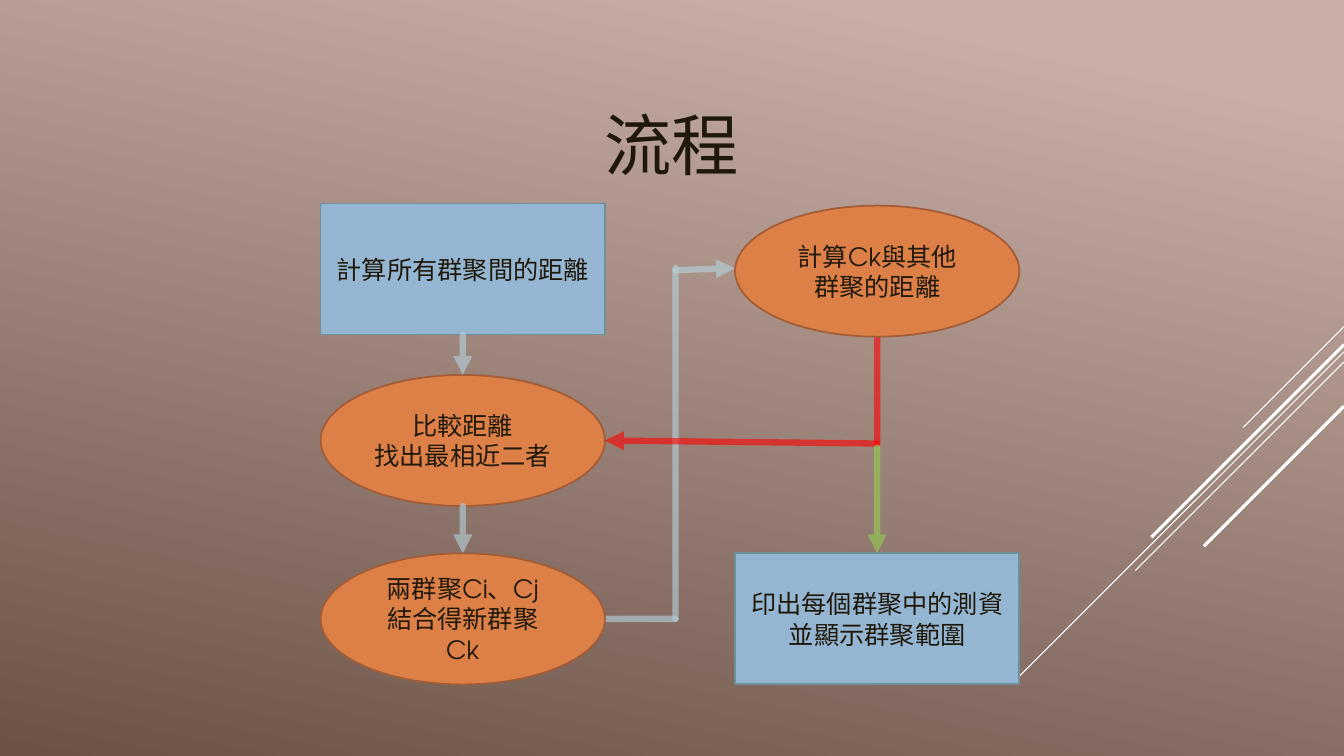
from lxml import etree
from pptx import Presentation
from pptx.dml.color import RGBColor
from pptx.enum.shapes import MSO_CONNECTOR, MSO_SHAPE
from pptx.enum.text import MSO_ANCHOR, PP_ALIGN
from pptx.oxml.ns import qn
from pptx.util import Inches, Pt

RECT, OVAL = MSO_SHAPE.RECTANGLE, MSO_SHAPE.OVAL
LINE = MSO_CONNECTOR.STRAIGHT
MIDDLE, CENTER = MSO_ANCHOR.MIDDLE, PP_ALIGN.CENTER

TITLE = "流程"
INK, WHITE = "20190B", "FFFFFF"
GREY, RED, GREEN = "B5D3DE", "FF0000", "92D050"
STYLE = {RECT: ("94B6D2", "6D909B"), OVAL: ("DD8047", "A35C35")}
BACK = [(0.1, "C7AFA7"), (1, "6C5348")]

WIDE, HIGH = 2.82, 1.3
LEFT, RIGHT = 3.18, 7.29
TOP, MID, LOW = 2.02, 3.72, 5.49
STEPS = [
    (OVAL, LEFT, MID, ["比較距離", "找出最相近二者"]),
    (RECT, LEFT, TOP, ["計算所有群聚間的距離"]),
    (OVAL, LEFT, LOW, ["兩群聚Ci、Cj", "結合得新群聚Ck"]),
    (RECT, RIGHT, LOW, ["印出每個群聚中的測資", "並顯示群聚範圍"]),
    (OVAL, RIGHT, TOP + 0.02, ["計算Ck與其他群聚的距離"]),
]

COL1, COL2 = LEFT + WIDE / 2, RIGHT + WIDE / 2
EDGE, TURN, FORK = LEFT + WIDE, 6.7, 4.4
BASE = LOW + HIGH / 2
FLOWS = [
    (COL1, TOP + HIGH, COL1, MID, GREY, True),
    (COL1, MID + HIGH, COL1, LOW, GREY, True),
    (EDGE, BASE, TURN, BASE, GREY, False),
    (TURN, BASE, TURN, 2.66, GREY, False),
    (TURN, 2.68, RIGHT, 2.66, GREY, True),
    (COL2, FORK, COL2, 3.35, RED, False),
    (COL2, FORK, EDGE, MID + HIGH / 2, RED, True),
    (COL2, FORK + 0.04, COL2, LOW, GREEN, True),
]
RAYS = [(3.24, 1, 0.75), (3.49, 3.26, 0.75), (3.59, 2.07, 0.75),
        (3.42, 1.91, 2.25), (4.03, 1.39, 2.25)]


def tint(code):
    return RGBColor.from_string(code)


def write(frame, lines, size, font):
    frame.word_wrap = True
    frame.vertical_anchor = MIDDLE
    for i, line in enumerate(lines):
        para = frame.add_paragraph() if i else frame.paragraphs[0]
        para.alignment = CENTER
        run = para.add_run()
        run.text = line
        run.font.size = Pt(size)
        run.font.name = font
        run.font.color.rgb = tint(INK)


def draw(slide, ends, color, width):
    link = slide.shapes.add_connector(LINE, *map(Inches, ends))
    link.line.color.rgb = tint(color)
    link.line.width = Pt(width)
    etree.SubElement(link._element.spPr, qn("a:effectLst"))
    return link


def flow(slide, ends, color, arrow):
    link = draw(slide, ends, color, 4.5)
    ln = link.line._ln
    ln.set("cap", "rnd")
    hue = ln.find(".//" + qn("a:srgbClr"))
    etree.SubElement(hue, qn("a:alpha"), val="60000")
    if arrow:
        etree.SubElement(ln, qn("a:tailEnd"), type="triangle")


def step(slide, kind, x, y, lines):
    shape = slide.shapes.add_shape(kind, *map(Inches, (x, y, WIDE, HIGH)))
    shape.shadow.inherit = False
    fill, edge = STYLE[kind]
    shape.fill.solid()
    shape.fill.fore_color.rgb = tint(fill)
    shape.line.color.rgb = tint(edge)
    shape.line.width = Pt(1.25)
    write(shape.text_frame, lines, 18, "TeX Gyre Adventor")


def main():
    deck = Presentation()
    deck.slide_width, deck.slide_height = Inches(13.33), Inches(7.5)
    slide = deck.slides.add_slide(deck.slide_layouts[6])
    fill = slide.background.fill
    fill.gradient()
    fill.gradient_angle = 360 - 102
    for stop, (place, color) in zip(fill.gradient_stops, BACK):
        stop.position = place
        stop.color.rgb = tint(color)

    for y, span, width in RAYS:
        draw(slide, (13.33, y, 13.33 - span, y + span), WHITE, width)
    box = slide.shapes.add_textbox(*map(Inches, (2, 0.84, 9.33, 1.17)))
    write(box.text_frame, [TITLE], 48, "Arial")
    box.text_frame.paragraphs[0].space_before = Pt(9.6)
    box.text_frame.paragraphs[0].space_after = Pt(6)

    for item in STEPS[:2]:
        step(slide, *item)
    for *ends, color, arrow in FLOWS:
        flow(slide, ends, color, arrow)
    for item in STEPS[2:]:
        step(slide, *item)
    deck.save("out.pptx")


if __name__ == "__main__":
    main()
